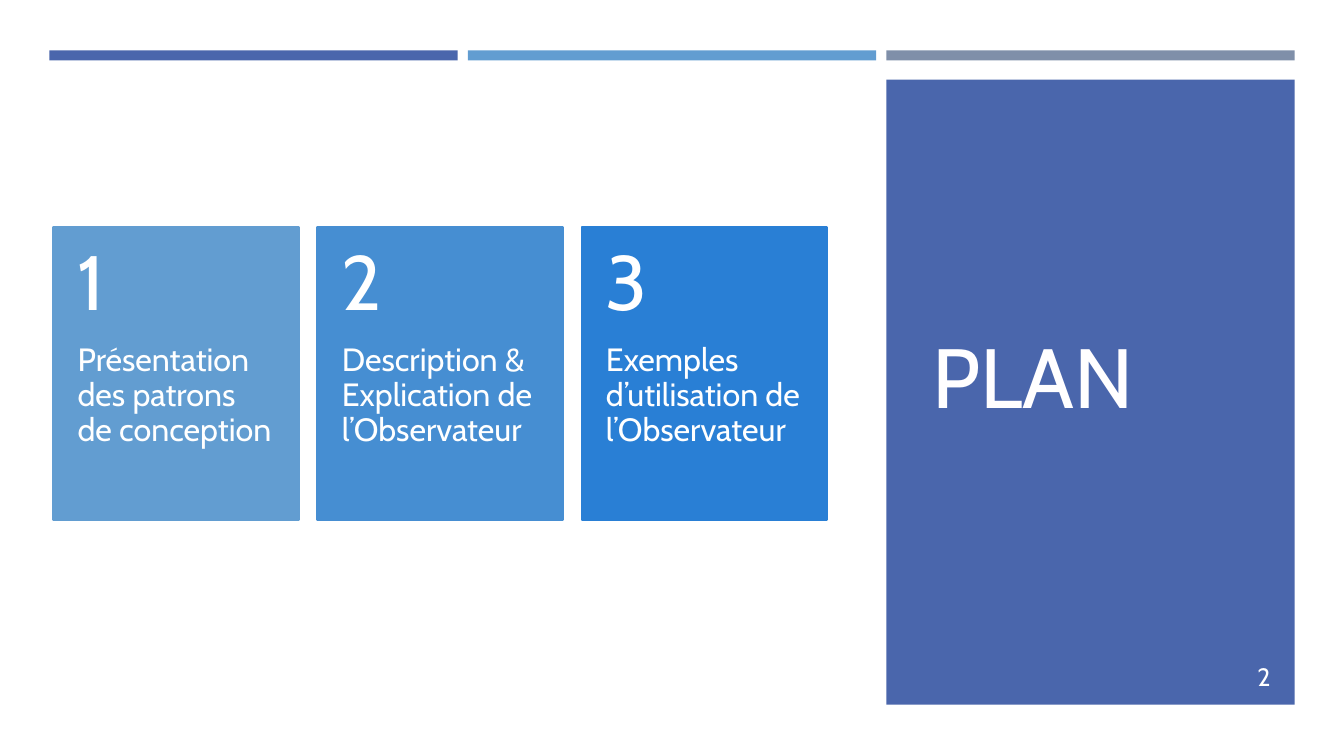
from dataclasses import dataclass

from pptx import Presentation
from pptx.dml.color import RGBColor
from pptx.enum.shapes import MSO_SHAPE
from pptx.enum.text import MSO_ANCHOR, MSO_AUTO_SIZE, PP_ALIGN
from pptx.util import Inches, Pt

RECT = MSO_SHAPE.RECTANGLE
TOP, MIDDLE = MSO_ANCHOR.TOP, MSO_ANCHOR.MIDDLE
LEFT, RIGHT = PP_ALIGN.LEFT, PP_ALIGN.RIGHT
NO_FIT = MSO_AUTO_SIZE.NONE


@dataclass(frozen=True)
class Theme:
    font: str = "Cabin"
    indigo: str = "4A66AC"
    sky: str = "629DD1"
    azure: str = "468ED2"
    cobalt: str = "297FD5"
    slate: str = "7F8FA9"
    white: str = "FFFFFF"
    title_color: str = "FFFEFF"
    title: int = 60
    number: int = 55
    body: int = 23
    page: int = 18
    outline: float = 1.75


@dataclass(frozen=True)
class Box:
    x: float
    y: float
    w: float
    h: float

    def emu(self) -> list:
        return [Inches(v) for v in (self.x, self.y, self.w, self.h)]


@dataclass(frozen=True)
class Columns:
    left: float
    width: float
    gap: float

    def cell(self, index: int, y: float, h: float) -> Box:
        return Box(self.left + index * (self.width + self.gap), y, self.width, h)


@dataclass(frozen=True)
class Card:
    number: str
    text: str
    color: str


T = Theme()
PAGE = Columns(left=0.49, width=4.05, gap=0.1)
CARDS = Columns(left=0.53, width=2.43, gap=0.19)
CARD_TOP, NUMBER_H, BODY_H = 2.25, 1.16, 1.75
PLAN = [
    Card("1", "Présentation des patrons de conception", T.sky),
    Card("2", "Description & Explication de l’Observateur", T.azure),
    Card("3", "Exemples d’utilisation de l’Observateur", T.cobalt),
]


def add_rect(shapes, box: Box, color: str, outline: float = 0):
    sp = shapes.add_shape(RECT, *box.emu())
    sp.shadow.inherit = False
    sp.fill.solid()
    sp.fill.fore_color.rgb = RGBColor.from_string(color)
    if outline:
        sp.line.color.rgb = RGBColor.from_string(color)
        sp.line.width = Pt(outline)
    else:
        sp.line.fill.background()
    return sp


def write(sp, text: str, size: int, color: str = T.white, anchor=MIDDLE,
          align=LEFT, spacing: float = 1.0,
          insets: tuple = (0.1, 0.05, 0.1, 0.05)) -> None:
    tf = sp.text_frame
    tf.text = text
    tf.word_wrap = True
    tf.auto_size = NO_FIT
    tf.vertical_anchor = anchor
    tf.margin_left, tf.margin_top, tf.margin_right, tf.margin_bottom = map(Inches, insets)
    p = tf.paragraphs[0]
    p.alignment = align
    p.line_spacing = spacing
    r = p.runs[0]
    r.font.name = T.font
    r.font.size = Pt(size)
    r.font.color.rgb = RGBColor.from_string(color)


def add_card(shapes, index: int, card: Card) -> None:
    group = shapes.add_group_shape().shapes
    add_rect(group, CARDS.cell(index, CARD_TOP, NUMBER_H + BODY_H), card.color, T.outline)
    body = group.add_textbox(*CARDS.cell(index, CARD_TOP + NUMBER_H, BODY_H).emu())
    write(body, card.text, T.body, anchor=TOP, spacing=0.9, insets=(0.24, 0, 0.24, 0.36))
    number = group.add_textbox(*CARDS.cell(index, CARD_TOP, NUMBER_H).emu())
    write(number, card.number, T.number, spacing=0.9, insets=(0.24, 0.18, 0.24, 0.18))


def main() -> None:
    prs = Presentation()
    prs.slide_width, prs.slide_height = Inches(13.33), Inches(7.5)
    s = prs.slides.add_slide(prs.slide_layouts[5])

    for i, color in enumerate((T.indigo, T.sky, T.slate)):
        add_rect(s.shapes, PAGE.cell(i, 0.5, 0.1), color)
    add_rect(s.shapes, PAGE.cell(2, 0.79, 6.2), T.indigo)

    title = s.shapes.title
    title.element.getparent().append(title.element)
    title.left, title.top, title.width, title.height = Box(9.15, 1.14, 3.34, 5.15).emu()
    write(title, "PLAN", T.title, T.title_color)

    page = s.shapes.add_textbox(*Box(11.55, 6.51, 1.15, 0.4).emu())
    write(page, "2", T.page, align=RIGHT)

    for i, card in enumerate(PLAN):
        add_card(s.shapes, i, card)

    prs.save("out.pptx")


if __name__ == "__main__":
    main()
